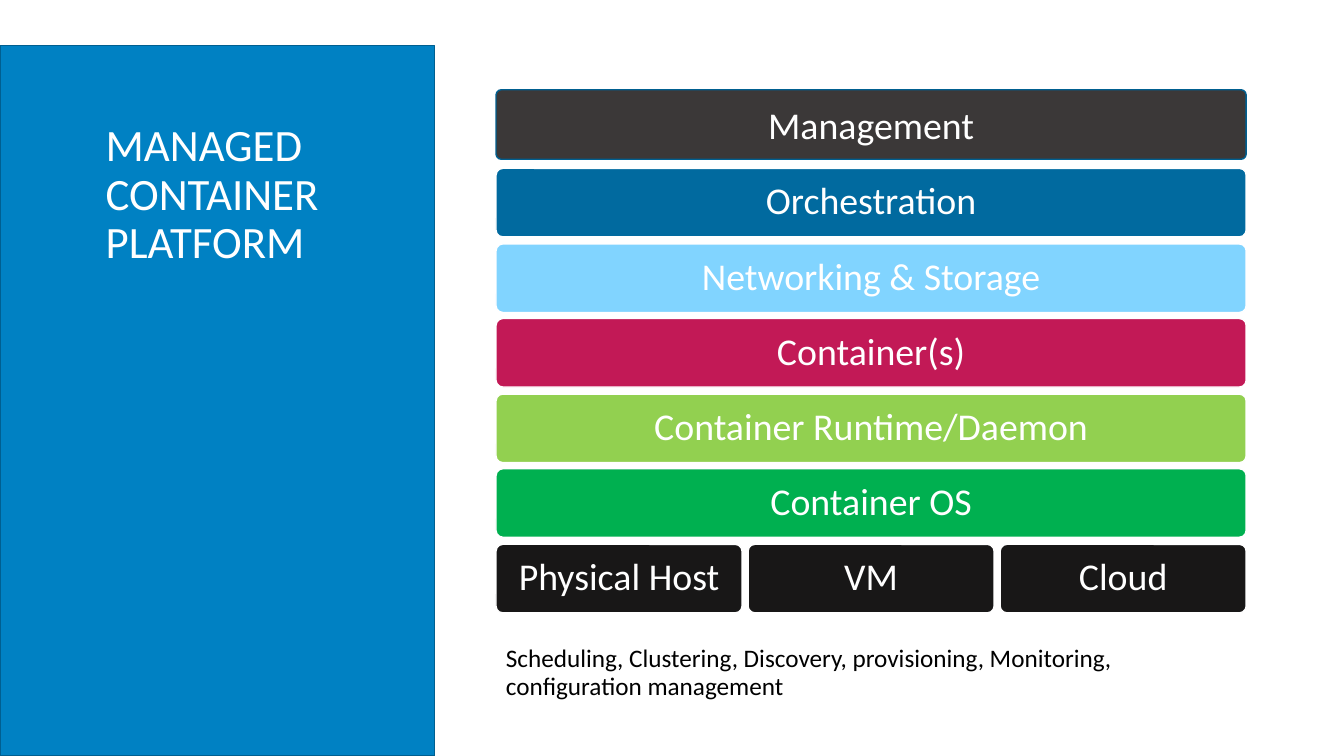
from dataclasses import dataclass

from pptx import Presentation
from pptx.dml.color import RGBColor
from pptx.enum.shapes import MSO_SHAPE
from pptx.enum.text import MSO_ANCHOR, PP_ALIGN
from pptx.shapes.autoshape import Shape
from pptx.util import Pt

EMU_PER_PX = 9144
FONT = "Calibri"

WHITE = RGBColor(0xFF, 0xFF, 0xFF)
BLACK = RGBColor(0x00, 0x00, 0x00)
PANEL_BLUE = RGBColor(0x00, 0x81, 0xC3)
EDGE_BLUE = RGBColor(0x00, 0x5F, 0x90)
DARK_BLUE = RGBColor(0x01, 0x6A, 0x9F)
SKY_BLUE = RGBColor(0x81, 0xD4, 0xFF)
CRIMSON = RGBColor(0xC2, 0x19, 0x56)
LIME = RGBColor(0x92, 0xD0, 0x50)
GREEN = RGBColor(0x00, 0xB0, 0x50)
NEAR_BLACK = RGBColor(0x18, 0x17, 0x17)
CHARCOAL = RGBColor(0x3B, 0x38, 0x38)

RECTANGLE = MSO_SHAPE.RECTANGLE
ROUNDED = MSO_SHAPE.ROUNDED_RECTANGLE
TOP, MIDDLE, BOTTOM = MSO_ANCHOR.TOP, MSO_ANCHOR.MIDDLE, MSO_ANCHOR.BOTTOM
LEFT, CENTER = PP_ALIGN.LEFT, PP_ALIGN.CENTER

STACK_LEFT = 492
STACK_TOP = 167
STACK_WIDTH = 744
LAYER_HEIGHT = 68
LAYER_PITCH = 74.6
HOST_WIDTH = 244


@dataclass(frozen=True)
class Area:
    left: int
    top: int
    width: int
    height: int

    def emu(self) -> list[int]:
        return [px(side) for side in (self.left, self.top, self.width, self.height)]


@dataclass(frozen=True)
class Layer:
    labels: tuple[str, ...]
    fill: RGBColor


LAYERS = (
    Layer(("Orchestration",), DARK_BLUE),
    Layer(("Networking & Storage",), SKY_BLUE),
    Layer(("Container(s)",), CRIMSON),
    Layer(("Container Runtime/Daemon",), LIME),
    Layer(("Container OS",), GREEN),
    Layer(("Physical Host", "VM", "Cloud"), NEAR_BLACK),
)


def px(length: int) -> int:
    return length * EMU_PER_PX


def write_text(box: Shape, text: str, *, size: int, color: RGBColor = WHITE,
               align: PP_ALIGN = LEFT, anchor: MSO_ANCHOR = TOP,
               line_spacing: float = 0.9) -> None:
    frame = box.text_frame
    frame.word_wrap = True
    frame.vertical_anchor = anchor
    para = frame.paragraphs[0]
    para.text = text
    para.alignment = align
    para.line_spacing = line_spacing
    for span in para.runs:
        span.font.name = FONT
        span.font.size = Pt(size)
        span.font.color.rgb = color


def add_block(page, kind: MSO_SHAPE, area: Area, fill: RGBColor, line: RGBColor) -> Shape:
    block = page.shapes.add_shape(kind, *area.emu())
    block.shadow.inherit = False
    block.fill.solid()
    block.fill.fore_color.rgb = fill
    block.line.color.rgb = line
    block.line.width = Pt(1)
    return block


def add_bar(page, area: Area, label: str, fill: RGBColor, *, line: RGBColor = WHITE,
            rounding: float = 0.1, line_spacing: float = 0.9) -> None:
    bar = add_block(page, ROUNDED, area, fill, line)
    bar.adjustments[0] = rounding
    write_text(bar, label, size=27, align=CENTER, anchor=MIDDLE, line_spacing=line_spacing)


def add_layer(page, layer: Layer, row: int) -> None:
    count = len(layer.labels)
    width = STACK_WIDTH if count == 1 else HOST_WIDTH
    step = (STACK_WIDTH - width) // max(count - 1, 1)
    top = STACK_TOP + round(row * LAYER_PITCH)
    for column, label in enumerate(layer.labels):
        area = Area(STACK_LEFT + column * step, top, width, LAYER_HEIGHT)
        add_bar(page, area, label, layer.fill)


def main() -> None:
    deck = Presentation()
    deck.slide_width, deck.slide_height = px(1333), px(750)
    page = deck.slides.add_slide(deck.slide_layouts[6])

    add_block(page, RECTANGLE, Area(0, 45, 431, 705), PANEL_BLUE, EDGE_BLUE)
    title = page.shapes.add_textbox(*Area(95, 92, 290, 179).emu())
    write_text(title, "MANAGED CONTAINER\vPLATFORM", size=32, anchor=BOTTOM)

    add_bar(page, Area(STACK_LEFT, 89, STACK_WIDTH, 69), "Management", CHARCOAL,
            line=EDGE_BLUE, rounding=0.075, line_spacing=1.0)
    for row, layer in enumerate(LAYERS):
        add_layer(page, layer, row)

    summary = page.shapes.add_textbox(*Area(STACK_LEFT, 636, 753, 98).emu())
    write_text(summary, "Scheduling, Clustering, Discovery, provisioning, Monitoring, "
               "configuration management", size=18, color=BLACK)

    deck.save("out.pptx")


if __name__ == "__main__":
    main()
